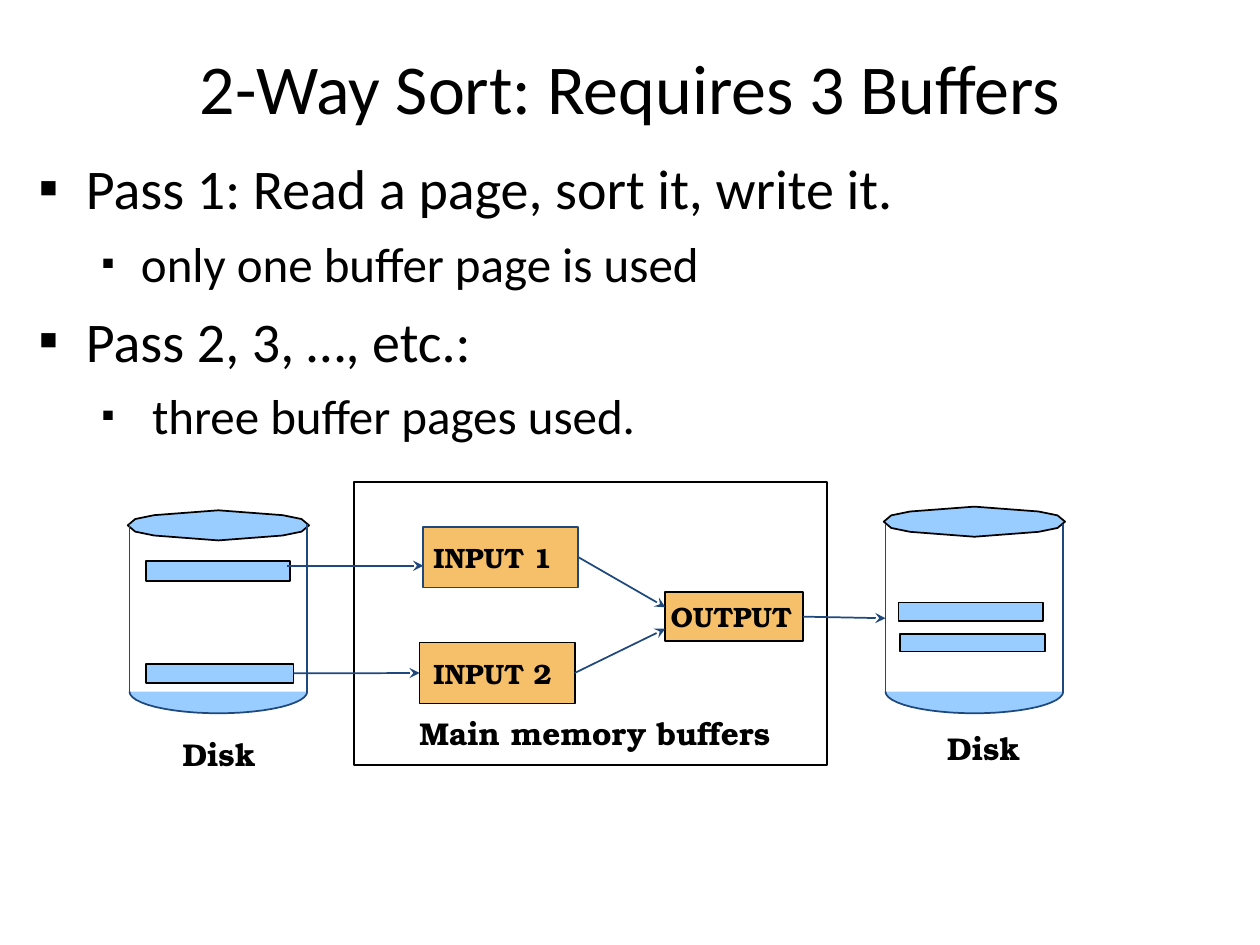
"""Build the slide on two-way sort and its three buffers."""
from math import cos, pi, sin

from lxml import etree
from pptx import Presentation
from pptx.dml.color import RGBColor
from pptx.enum.shapes import MSO_CONNECTOR, MSO_SHAPE
from pptx.enum.text import MSO_ANCHOR, PP_ALIGN
from pptx.oxml.ns import qn
from pptx.util import Pt

RECT = MSO_SHAPE.RECTANGLE
LINE = MSO_CONNECTOR.STRAIGHT
LEFT, CENTER = PP_ALIGN.LEFT, PP_ALIGN.CENTER
MIDDLE = MSO_ANCHOR.MIDDLE


class Theme:
    black = RGBColor(0x00, 0x00, 0x00)
    blue = RGBColor(0x99, 0xCC, 0xFF)
    navy = RGBColor(0x1F, 0x49, 0x7D)
    gold = RGBColor(0xF6, 0xBF, 0x69)
    sans, serif = "Calibri", "TeX Gyre Bonum"
    title, label, box = 40, 18, 16
    body = (32, 28)


def paint(shape, fill, edge):
    shape.shadow.inherit = False
    if fill is None:
        shape.fill.background()
    else:
        shape.fill.solid()
        shape.fill.fore_color.rgb = fill
    shape.line.color.rgb = edge
    shape.line.width = Pt(1)


def write(par, text, size, face, bold=False):
    par.text = text
    font = par.font
    font.size, font.name, font.bold = Pt(size), face, bold
    font.color.rgb = Theme.black


deck = Presentation()
deck.slide_width, deck.slide_height = Pt(720), Pt(540)
slide = deck.slides.add_slide(deck.slide_layouts[5])
shapes = slide.shapes

title = shapes.title
title.left, title.top, title.width, title.height = Pt(36), Pt(21.6), Pt(648), Pt(56.2)
title.text_frame.vertical_anchor = MIDDLE
par = title.text_frame.paragraphs[0]
write(par, "2-Way Sort: Requires 3 Buffers", Theme.title, Theme.sans)
par.alignment = CENTER

points = [
    (0, "Pass 1: Read a page, sort it, write it."),
    (1, "only one buffer page is used"),
    (0, "Pass 2, 3, …, etc.:"),
    (1, " three buffer pages used."),
]
indents = [(27, -27), (58.5, -22.5)]
frame = shapes.add_textbox(Pt(15), Pt(84.4), Pt(690), Pt(179)).text_frame
frame.word_wrap = True
for i, (level, text) in enumerate(points):
    par = frame.add_paragraph() if i else frame.paragraphs[0]
    par.level = level
    if i:
        par.space_before = Pt(8 - level)
    props = par._p.get_or_add_pPr()
    margin, hang = indents[level]
    props.set("marL", str(Pt(margin)))
    props.set("indent", str(Pt(hang)))
    if level:
        etree.SubElement(props, qn("a:buSzPct")).set("val", "75000")
    etree.SubElement(props, qn("a:buFont")).set("typeface", Theme.sans)
    etree.SubElement(props, qn("a:buChar")).set("char", "▪")
    write(par, text, Theme.body[level], Theme.sans)

memory = shapes.add_shape(RECT, Pt(202.2), Pt(275.5), Pt(270.5), Pt(161.8))
paint(memory, None, Theme.black)

lid = [(51.8, 0), (47.5, 3.6), (36.7, 5.8), (0, 8.6)]
lid += [(-x, y) for x, y in lid[-2::-1]]
lid += [(-x, -y) for x, y in lid[1:-1]]
bowl = [(50.8 * cos(k * pi / 24), 12.4 * sin(k * pi / 24)) for k in range(25)]
base = 395.2
for mid, top in [(124.8, 300.2), (556.8, 298.1)]:
    for ring, level, closed, edge in [
        (lid, top, True, Theme.black),
        (bowl, base, False, Theme.navy),
    ]:
        spots = [(Pt(mid + x), Pt(level + y)) for x, y in ring]
        pen = shapes.build_freeform(*spots[0])
        pen.add_line_segments(spots[1:], close=closed)
        paint(pen.convert_to_shape(), Theme.blue, edge)

pages = [
    (83.5, 320.4, 82.1, 11.5),
    (83.5, 379.4, 84.2, 10.8),
    (513.4, 344.2, 82.8, 10.8),
    (514.1, 362.2, 83.2, 10.1),
]
runs = []
for spot in pages:
    page = shapes.add_shape(RECT, *map(Pt, spot))
    paint(page, Theme.blue, Theme.black)
    runs.append(page)

boxes = [
    ("INPUT 1", (241.9, 301, 88.6, 34.8), 5.8, Theme.navy),
    ("INPUT 2", (239.8, 367.2, 88.6, 34.8), 7.9, Theme.black),
    ("OUTPUT", (380.2, 338.4, 78.8, 28), 3, Theme.black),
]
cells = []
for text, spot, inset, edge in boxes:
    cell = shapes.add_shape(RECT, *map(Pt, spot))
    paint(cell, Theme.gold, edge)
    frame = cell.text_frame
    frame.word_wrap = False
    frame.margin_left, frame.margin_right = Pt(inset), Pt(0)
    frame.vertical_anchor = MIDDLE
    par = frame.paragraphs[0]
    par.alignment = LEFT
    write(par, text, Theme.box, Theme.serif, True)
    cells.append(cell)
first, second, output = cells

labels = [
    ("Main memory buffers", 232.6, 404.6, 215.3),
    ("Disk", 97.2, 416.2, 56.2),
    ("Disk", 534.2, 413.3, 56.2),
]
for text, x, y, wide in labels:
    frame = shapes.add_textbox(Pt(x), Pt(y), Pt(wide), Pt(28.8)).text_frame
    frame.word_wrap = False
    write(frame.paragraphs[0], text, Theme.label, Theme.serif, True)

walls = [((x, 299.5), (x, base), None, None, False) for x in (74, 175.6, 506, 607.6)]
flows = [
    ((164.2, 323.3), (241.9, 323.3), None, None, True),
    ((167.7, 384.8), (239.8, 384.6), runs[1], second, True),
    ((330.5, 318.4), (380.2, 347), first, None, True),
    ((328.4, 384.6), (380.2, 359.3), second, None, True),
    ((459, 352.4), (506, 353.3), output, None, True),
]
for start, end, source, target, arrow in walls + flows:
    link = shapes.add_connector(LINE, *map(Pt, start + end))
    if source:
        link.begin_connect(source, 3)
    if target:
        link.end_connect(target, 1)
    link.line.color.rgb = Theme.navy
    link.line.width = Pt(1)
    if arrow:
        etree.SubElement(link.line._get_or_add_ln(), qn("a:tailEnd")).set("type", "stealth")
    etree.SubElement(link._element.spPr, qn("a:effectLst"))

deck.save("out.pptx")
